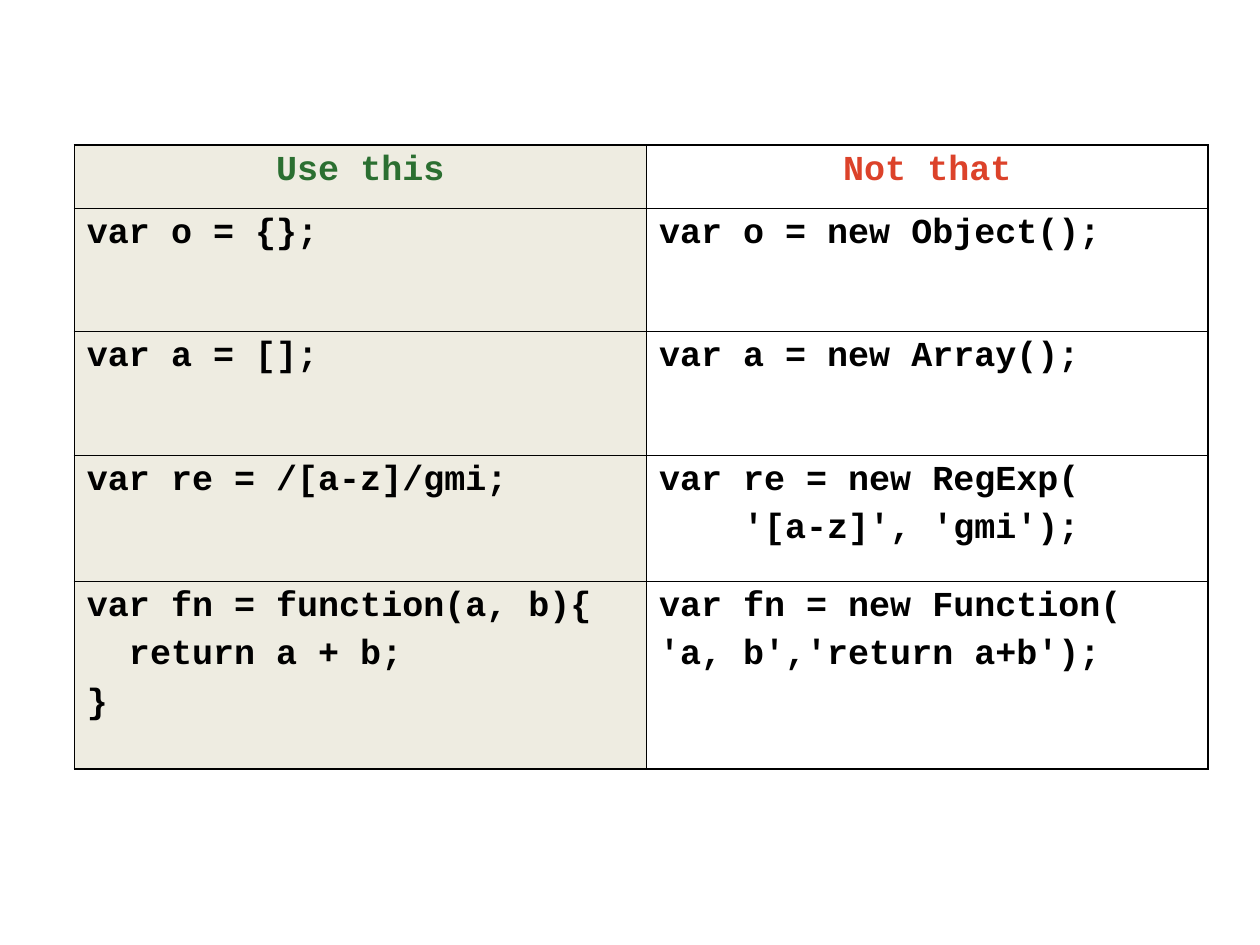
from lxml import etree
from pptx import Presentation
from pptx import util as u
from pptx.dml import color
from pptx.enum import text
from pptx.oxml import ns

Pt = u.Pt
COLORS = {
    "good": "2B6F31",
    "bad": "DC422A",
    "code": "000000",
    "border": "000000",
    "good_fill": "EEECE1",
}
OUTER, INNER = 1.08, 0.45
COLUMN_WIDTHS = [326.9, 321.1]
ROW_HEIGHTS = [36, 70.6, 70.6, 72, 107.3]
HEADINGS = [("Use this", "good"), ("Not that", "bad")]
EXAMPLES = [
    ("var o = {};", "var o = new Object();"),
    ("var a = [];", "var a = new Array();"),
    ("var re = /[a-z]/gmi;", "var re = new RegExp(\n    '[a-z]', 'gmi');"),
    ("var fn = function(a, b){\n  return a + b;\n}",
     "var fn = new Function(\n'a, b','return a+b');"),
]


def rgb(name):
    return color.RGBColor.from_string(COLORS[name])


def set_borders(cell, widths):
    """Add the cell edges; widths maps L, R, T, B, in that order, to points."""
    properties = cell._tc.get_or_add_tcPr()
    for side, width in widths.items():
        edge = etree.SubElement(properties, ns.qn(f"a:ln{side}"), w=str(int(Pt(width))))
        fill = etree.SubElement(edge, ns.qn("a:solidFill"))
        etree.SubElement(fill, ns.qn("a:srgbClr"), val=COLORS["border"])


def write_cell(cell, content, ink, align):
    cell.text_frame.text = content
    for index, line in enumerate(cell.text_frame.paragraphs):
        line.alignment = align
        if index:
            line.space_before = Pt(5)
        for run in line.runs:
            run.font.name = "Courier New"
            run.font.size = Pt(20)
            run.font.bold = True
            run.font.color.rgb = rgb(ink)


def style_cell(cell, row, column):
    cell.margin_left = cell.margin_right = Pt(7.2)
    cell.margin_top = cell.margin_bottom = Pt(3.6)
    cell.vertical_anchor = text.MSO_ANCHOR.TOP
    last_row, last_column = len(ROW_HEIGHTS) - 1, len(COLUMN_WIDTHS) - 1
    set_borders(cell, {
        "L": OUTER if column == 0 else INNER,
        "R": OUTER if column == last_column else INNER,
        "T": OUTER if row == 0 else INNER,
        "B": OUTER if row == last_row else INNER,
    })
    if column == 0:
        cell.fill.solid()
        cell.fill.fore_color.rgb = rgb("good_fill")
    else:
        cell.fill.background()


def add_comparison(slide):
    comparison = slide.shapes.add_table(
        len(ROW_HEIGHTS), len(COLUMN_WIDTHS), Pt(42.5), Pt(82.8),
        Pt(sum(COLUMN_WIDTHS)), Pt(sum(ROW_HEIGHTS))).table
    comparison.first_row = comparison.horz_banding = False
    for column, width in zip(comparison.columns, COLUMN_WIDTHS):
        column.width = Pt(width)
    for row, height in zip(comparison.rows, ROW_HEIGHTS):
        row.height = Pt(height)

    # Headings
    for column, (heading, ink) in enumerate(HEADINGS):
        write_cell(comparison.cell(0, column), heading, ink, text.PP_ALIGN.CENTER)

    # Code examples
    for row, pair in enumerate(EXAMPLES, start=1):
        for column, code in enumerate(pair):
            write_cell(comparison.cell(row, column), code, "code", text.PP_ALIGN.LEFT)

    # Fills, margins and borders
    for row in range(len(ROW_HEIGHTS)):
        for column in range(len(COLUMN_WIDTHS)):
            style_cell(comparison.cell(row, column), row, column)


def main():
    deck = Presentation()
    deck.slide_width, deck.slide_height = Pt(720), Pt(540)
    slide = deck.slides.add_slide(deck.slide_layouts[6])
    add_comparison(slide)
    deck.save("out.pptx")


if __name__ == "__main__":
    main()
